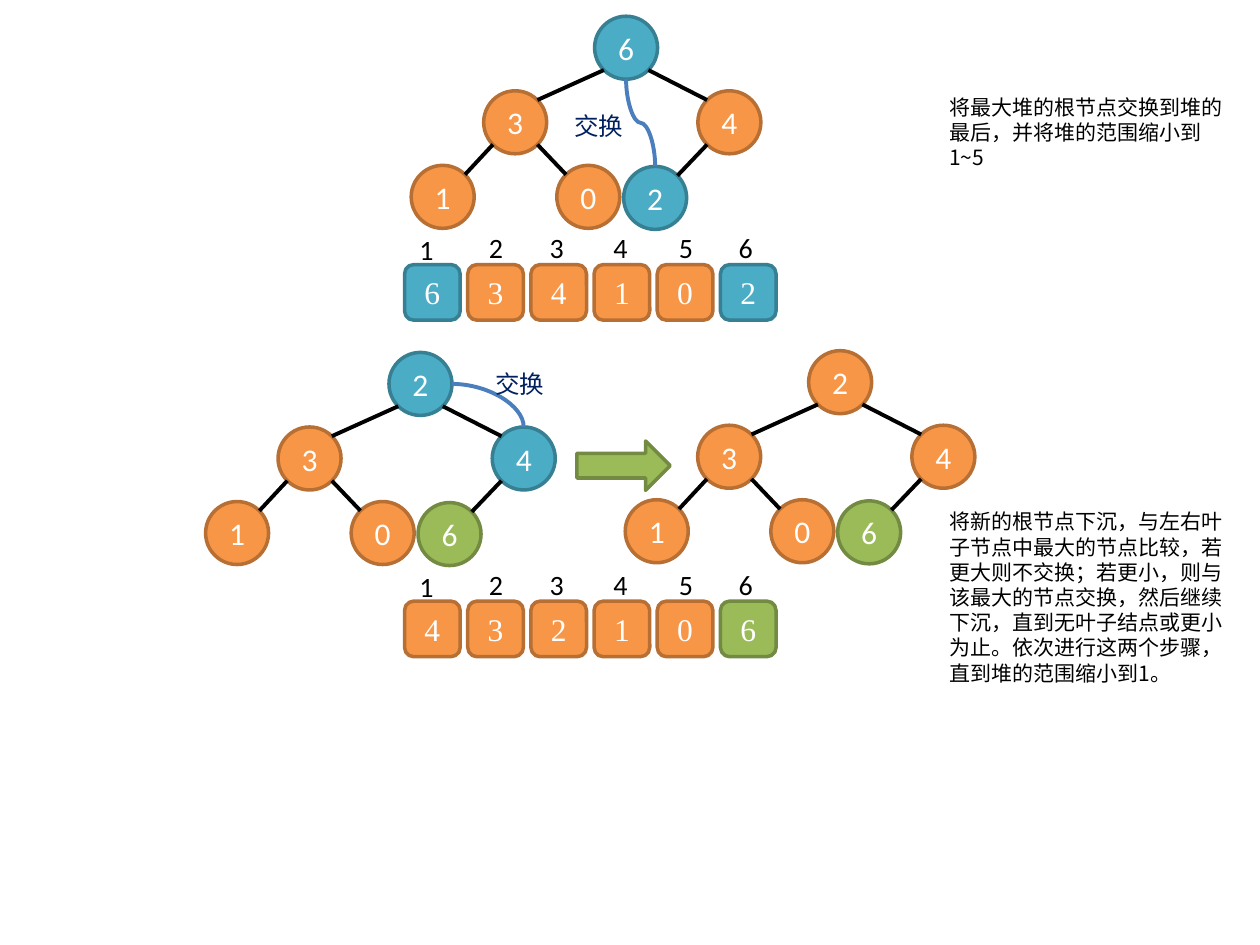
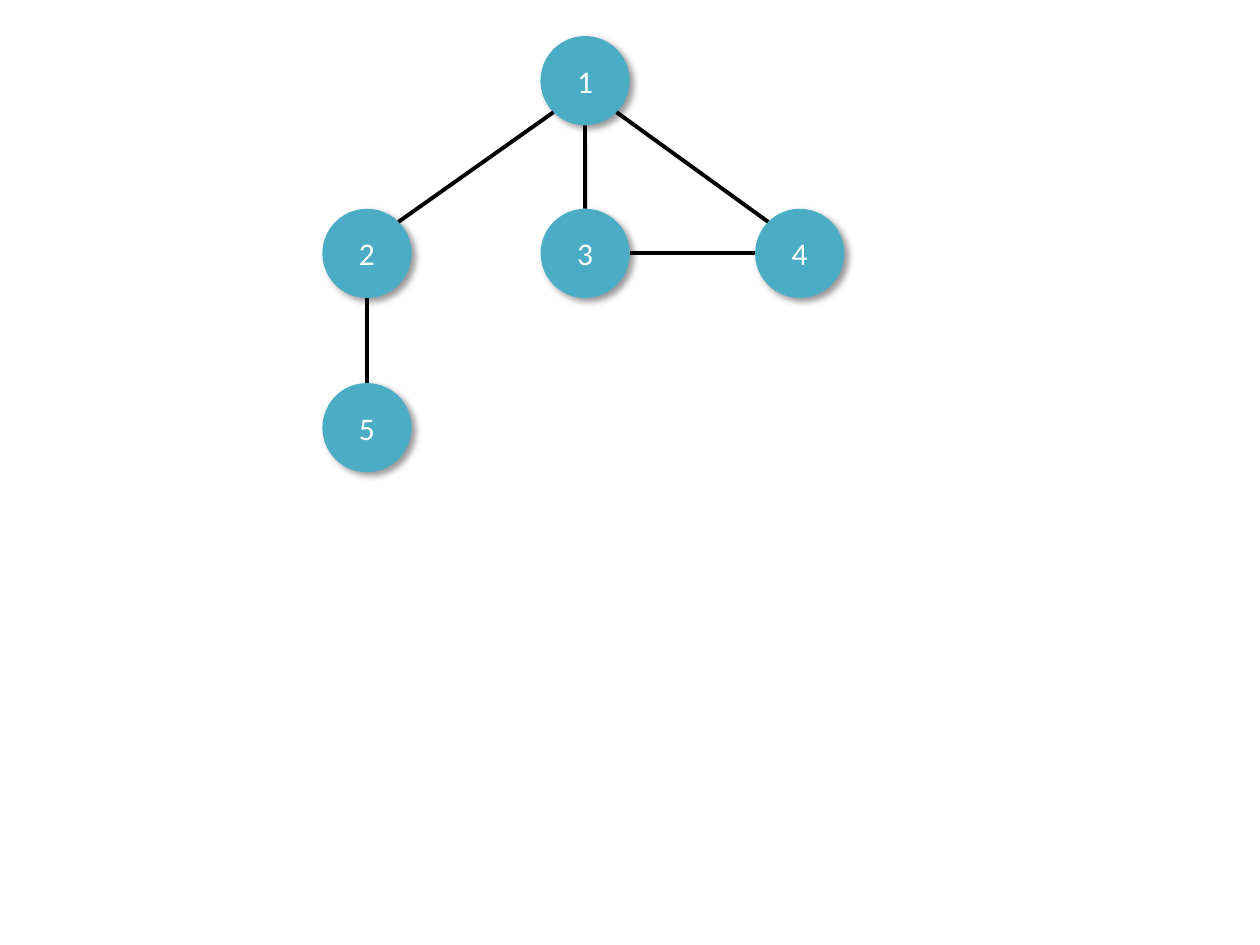
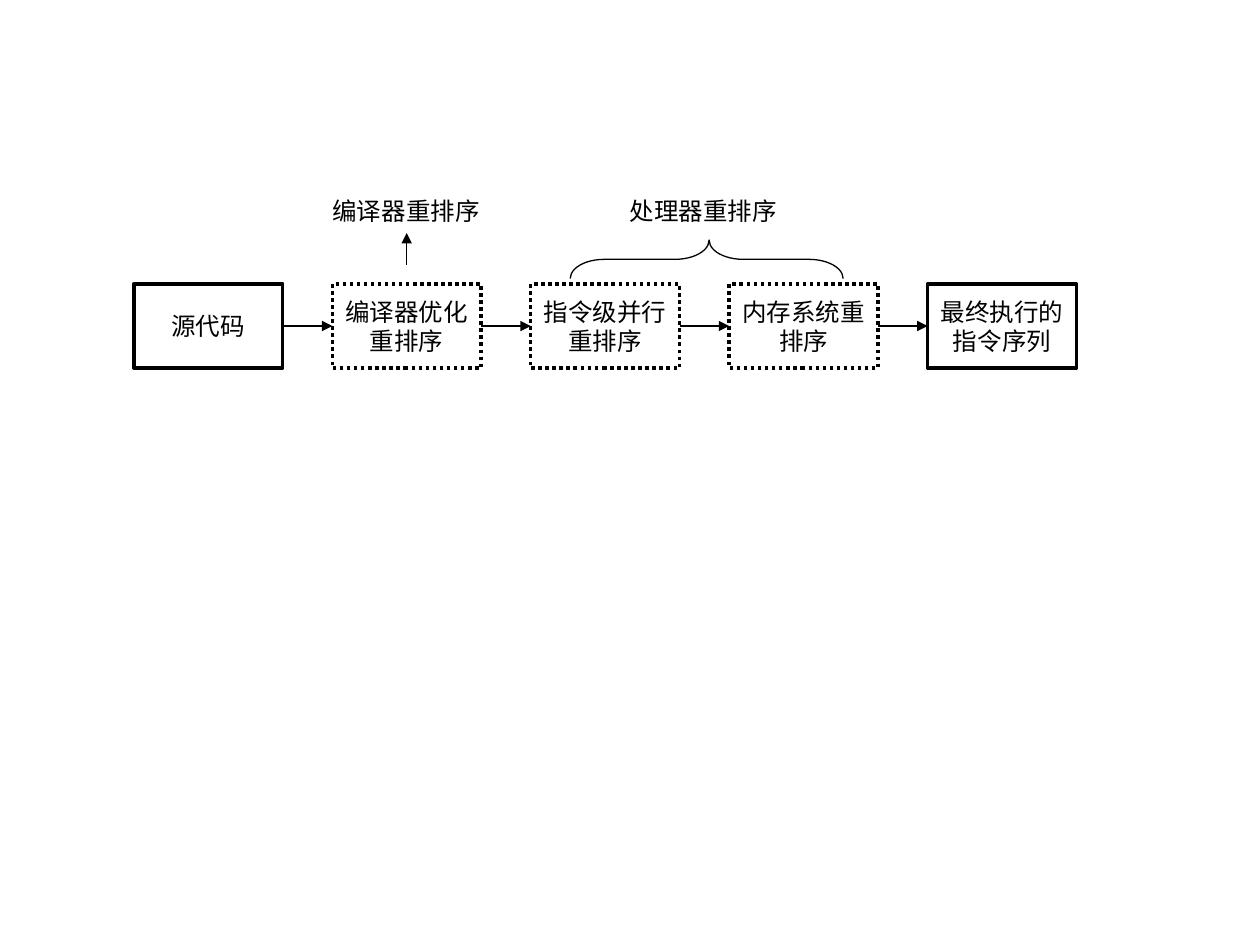
import pptx
import pptx.dml.color
import pptx.enum.dml
import pptx.enum.shapes
import pptx.enum.text
import pptx.oxml.ns
import pptx.util
from lxml import etree

Pt = pptx.util.Pt
RGBColor = pptx.dml.color.RGBColor
qn = pptx.oxml.ns.qn
SHAPE = pptx.enum.shapes.MSO_SHAPE
CONNECTOR = pptx.enum.shapes.MSO_CONNECTOR
DASH = pptx.enum.dml.MSO_LINE

BLACK = RGBColor(0x00, 0x00, 0x00)
WHITE = RGBColor(0xFF, 0xFF, 0xFF)
NAVY = RGBColor(0x00, 0x20, 0x60)
CURVE_BLUE = RGBColor(0x4B, 0x7E, 0xBC)
BLUE = RGBColor(0x4B, 0xAC, 0xC6)
ORANGE = RGBColor(0xF7, 0x96, 0x46)
GREEN = RGBColor(0x9B, 0xBB, 0x59)
OUTLINES = {
    BLUE: RGBColor(0x37, 0x7F, 0x92),
    ORANGE: RGBColor(0xB7, 0x6F, 0x34),
    GREEN: RGBColor(0x73, 0x8A, 0x42),
}

CALIBRI = "Calibri"
TIMES = "Times New Roman"
CJK_JP = "Noto Sans CJK JP"
CJK_SC = "Noto Sans CJK SC"

# Connection sites of an ellipse, as fractions of its box
NEAR, FAR = 0.1464, 0.8536
SITES = [(0.5, 0), (NEAR, NEAR), (0, 0.5), (NEAR, FAR),
         (0.5, 1), (FAR, FAR), (1, 0.5), (FAR, NEAR)]
TOP, TOP_LEFT, LEFT, BOTTOM_LEFT, BOTTOM, BOTTOM_RIGHT, RIGHT, TOP_RIGHT = range(8)

NODE_SIZE = 36
# Nodes in level order, measured from the root
NODE_OFFSETS = [(0, 0), (-63.4, 42.6), (59, 42.6),
                (-104.8, 85.2), (-21.6, 85.2), (16.6, 85.8)]
CELL_LEFT, CELL_SIZE, CELL_PITCH = 231.2, 31.8, 36.1
INDEX_LEFTS = [232.6, 272.2, 307, 343.4, 380.9, 415]


def write(frame, text, font=CALIBRI, size=18, color=WHITE, align=None):
    para = frame.paragraphs[0]
    para.alignment = align
    span = para.add_run()
    span.text = text
    span.font.name = font
    span.font.size = Pt(size)
    span.font.color.rgb = color
    if font in (CJK_JP, CJK_SC):
        etree.SubElement(span.font._element, qn("a:ea"), typeface=font)


def add_label(page, text, left, top, width, height, wrap=True, **text_format):
    box = page.shapes.add_textbox(Pt(left), Pt(top), Pt(width), Pt(height))
    box.text_frame.word_wrap = wrap
    box.text_frame.auto_size = pptx.enum.text.MSO_AUTO_SIZE.SHAPE_TO_FIT_TEXT
    write(box.text_frame, text, **text_format)


def add_figure(page, kind, left, top, width, height, fill=None, outline=None,
               weight=2, text="", **text_format):
    figure = page.shapes.add_shape(kind, Pt(left), Pt(top), Pt(width), Pt(height))
    figure.shadow.inherit = False
    if fill is None:
        figure.fill.background()
    else:
        figure.fill.solid()
        figure.fill.fore_color.rgb = fill
    if outline is None:
        figure.line.fill.background()
    else:
        figure.line.color.rgb = outline
        figure.line.width = Pt(weight)
    if text:
        figure.text_frame.vertical_anchor = pptx.enum.text.MSO_ANCHOR.MIDDLE
        write(figure.text_frame, text, align=pptx.enum.text.PP_ALIGN.CENTER, **text_format)
    return figure


def add_line(page, start, end, kind=CONNECTOR.STRAIGHT, color=BLACK, weight=2.25, arrow=False):
    """Draw a connector between two points given as lengths."""
    line = page.shapes.add_connector(kind, *(int(length) for length in (*start, *end)))
    line.line.color.rgb = color
    line.line.width = Pt(weight)
    properties = line.element.spPr
    if arrow:
        etree.SubElement(properties.find(qn("a:ln")), qn("a:tailEnd"), type="triangle")
    etree.SubElement(properties, qn("a:effectLst"))
    return line


def site_point(node, site):
    across, down = SITES[site]
    return node.left + node.width * across, node.top + node.height * down


def glue(line, start, start_site, end, end_site):
    """Attach a connector to ellipse sites, which number eight rather than four."""
    properties = line.element.find(".//" + qn("p:cNvCxnSpPr"))
    for tag, node, site in (("a:stCxn", start, start_site), ("a:endCxn", end, end_site)):
        etree.SubElement(properties, qn(tag), id=str(node.shape_id), idx=str(site))


def link(page, start, start_site, end, end_site):
    line = add_line(page, site_point(start, start_site), site_point(end, end_site))
    glue(line, start, start_site, end, end_site)


def add_vertical_curve(page, upper, lower):
    """Draw an S curve from the bottom of one node to the top of another."""
    (x1, y1), (x2, y2) = site_point(upper, BOTTOM), site_point(lower, TOP)
    middle_x, middle_y = (x1 + x2) / 2, (y1 + y2) / 2
    half_run, half_drop = (x2 - x1) / 2, (y2 - y1) / 2
    curve = add_line(page, (middle_x + half_drop, middle_y - half_run),
                     (middle_x - half_drop, middle_y + half_run),
                     kind=CONNECTOR.CURVE, color=CURVE_BLUE)
    curve.element.spPr.find(qn("a:xfrm")).set("rot", str(270 * 60000))
    glue(curve, upper, BOTTOM, lower, TOP)


def add_corner_curve(page, start, end):
    """Draw a quarter curve from the right of one node to the top of another."""
    curve = add_line(page, site_point(start, RIGHT), site_point(end, TOP),
                     kind=CONNECTOR.CURVE, color=CURVE_BLUE)
    curve.element.spPr.find(qn("a:prstGeom")).set("prst", "curvedConnector2")
    glue(curve, start, RIGHT, end, TOP)


def add_heap(page, left, top, values, fills):
    """Draw a six-node heap whose root has the given corner; return its nodes."""
    nodes = [
        add_figure(page, SHAPE.OVAL, left + dx, top + dy, NODE_SIZE, NODE_SIZE,
                   fill=fill, outline=OUTLINES[fill], text=value)
        for (dx, dy), value, fill in zip(NODE_OFFSETS, values, fills)
    ]
    for child in range(1, len(nodes)):
        parent = nodes[(child - 1) // 2]
        sites = (BOTTOM_LEFT, TOP_RIGHT) if child % 2 else (BOTTOM_RIGHT, TOP_LEFT)
        link(page, parent, sites[0], nodes[child], sites[1])
    return nodes


def add_array(page, top, values, fills):
    for index, (value, fill) in enumerate(zip(values, fills)):
        add_figure(page, SHAPE.ROUNDED_RECTANGLE, CELL_LEFT + index * CELL_PITCH, top,
                   CELL_SIZE, CELL_SIZE, fill=fill, outline=OUTLINES[fill],
                   text=value, font=TIMES)
        index_top = top - (21.6 if index == 0 else 23)
        add_label(page, str(index + 1), INDEX_LEFTS[index], index_top, 23, 26.6,
                  wrap=False, size=16, color=BLACK)


def add_shadow(figure):
    effects = figure.element.spPr.find(qn("a:effectLst"))
    shadow = etree.SubElement(effects, qn("a:outerShdw"), blurRad=str(Pt(4)),
                              dist=str(Pt(3)), dir=str(45 * 60000), algn="tl",
                              rotWithShape="0")
    color = etree.SubElement(shadow, qn("a:srgbClr"), val=str(BLACK))
    etree.SubElement(color, qn("a:alpha"), val="40000")


def build_heap_sort(page):
    note = {"font": CJK_JP, "size": 12, "color": BLACK}
    swap = {"font": CJK_JP, "size": 14, "color": NAVY}

    ends_swapped = [BLUE] + [ORANGE] * 4 + [BLUE]
    add_array(page, 151.2, "634102", ends_swapped)
    nodes = add_heap(page, 339.8, 9.3, "634102", ends_swapped)
    add_vertical_curve(page, nodes[0], nodes[5])
    add_label(page, "交换", 321.1, 59.8, 50.4, 24.2, **swap)
    add_label(page, "将最大堆的根节点交换到堆的最后，并将堆的范围缩小到1~5",
              535.4, 50.4, 175.7, 51, **note)

    last_sorted = [ORANGE] * 5 + [GREEN]
    add_array(page, 343.5, "432106", last_sorted)
    nodes = add_heap(page, 222.3, 201.4, "234106",
                     [BLUE, ORANGE, BLUE, ORANGE, ORANGE, GREEN])
    add_corner_curve(page, nodes[0], nodes[2])
    add_label(page, "交换", 275.8, 207.2, 50.4, 24.2, **swap)
    add_figure(page, SHAPE.RIGHT_ARROW, 329.6, 252, 53.4, 28.2,
               fill=GREEN, outline=OUTLINES[GREEN])
    add_heap(page, 462.1, 200.4, "234106", last_sorted)
    add_label(page, "将新的根节点下沉，与左右叶子节点中最大的节点比较，若更大则不交换；"
              "若更小，则与该最大的节点交换，然后继续下沉，直到无叶子结点或更小为止。"
              "依次进行这两个步骤，直到堆的范围缩小到1。",
              535.7, 287.3, 175.7, 108.7, **note)


def build_graph(page):
    size = 51
    corners = {"1": (308.8, 20.6), "2": (184.2, 119.3), "4": (431.5, 119.3),
               "3": (308.9, 119.3), "5": (184.2, 218.9)}
    nodes = {}
    for name, (left, top) in corners.items():
        nodes[name] = add_figure(page, SHAPE.OVAL, left, top, size, size,
                                 fill=BLUE, text=name)
        add_shadow(nodes[name])
    for start, start_site, end, end_site in (
            ("2", TOP_RIGHT, "1", BOTTOM_LEFT),
            ("3", TOP, "1", BOTTOM),
            ("4", TOP_LEFT, "1", BOTTOM_RIGHT),
            ("5", TOP, "2", BOTTOM),
            ("3", RIGHT, "4", LEFT)):
        link(page, nodes[start], start_site, nodes[end], end_site)


def build_reordering(page):
    text_format = {"font": CJK_SC, "size": 14, "color": BLACK}
    stages = [("源代码", False), ("编译器优化重排序", True), ("指令级并行重排序", True),
              ("内存系统重排序", True), ("最终执行的指令序列", False)]
    boxes = []
    for index, (text, dotted) in enumerate(stages):
        box = add_figure(page, SHAPE.RECTANGLE, 76.5 + index * 113.4, 162.2, 85.1, 48.2,
                         outline=BLACK, text=text, **text_format)
        if dotted:
            box.line.dash_style = DASH.ROUND_DOT
        boxes.append(box)
    for before, after in zip(boxes, boxes[1:]):
        arrow = add_line(page, (0, 0), (0, 0), weight=1.5, arrow=True)
        arrow.begin_connect(before, 3)
        arrow.end_connect(after, 1)

    brace = add_figure(page, SHAPE.RIGHT_BRACE, 392.8, 70.2, 22, 156,
                       outline=BLACK, weight=0.75)
    brace.rotation = 270
    brace.adjustments[0] = 0.885
    brace.adjustments[1] = 0.509
    for text, left in (("处理器重排序", 352.8), ("编译器重排序", 182.9)):
        add_label(page, text, left, 108.7, 99.4, 24.2, wrap=False, **text_format)
    add_line(page, (Pt(232.4), Pt(151.2)), (Pt(232.4), Pt(133.2)), weight=0.75, arrow=True)


def main():
    deck = pptx.Presentation()
    deck.slide_width, deck.slide_height = Pt(720), Pt(540)
    blank = deck.slide_layouts[6]
    for build in (build_heap_sort, build_graph, build_reordering):
        build(deck.slides.add_slide(blank))
    deck.save("out.pptx")


if __name__ == "__main__":
    main()
